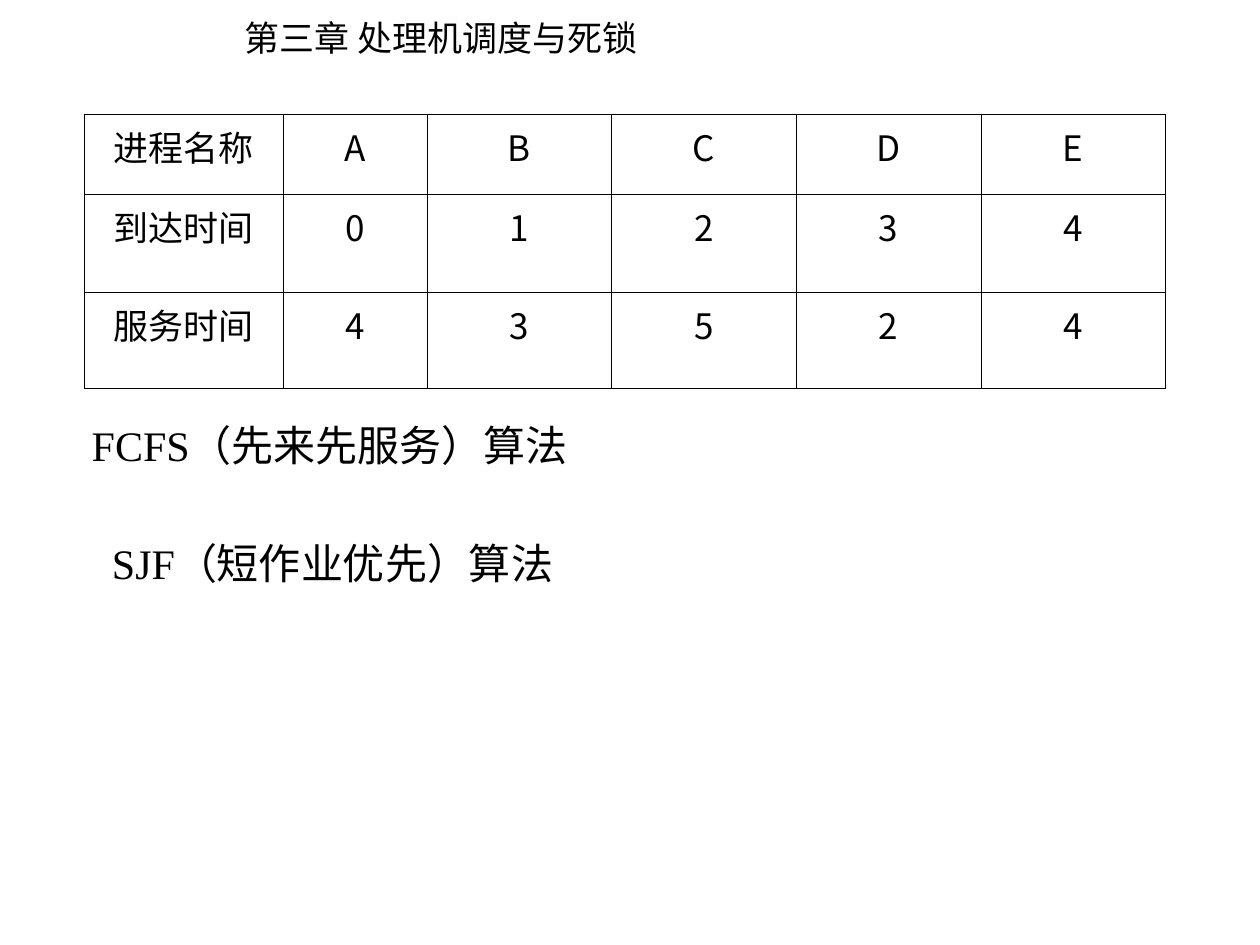
import pptx
import pptx.dml.color
import pptx.enum.text
import pptx.oxml
import pptx.oxml.ns
import pptx.util
from pptx.util import Inches

CJK = "Noto Sans CJK SC"
LATIN = "Times New Roman"
BLACK = "000000"


def color(value):
    return pptx.dml.color.RGBColor.from_string(value)


class SlideBuilder:
    def __init__(self, prs):
        self.slide = prs.slides.add_slide(prs.slide_layouts[5])

    def format_paragraph(self, p, size, latin, align):
        p.alignment = align
        for r in p.runs:
            r.font.size = pptx.util.Pt(size)
            r.font.name = latin
            r.font.color.rgb = color(BLACK)
            ea = pptx.oxml.parse_xml(
                f'<a:ea {pptx.oxml.ns.nsdecls("a")} typeface="{CJK}"/>')
            r.font._element.find(pptx.oxml.ns.qn("a:latin")).addnext(ea)

    def fill_box(self, sp, text, size, latin, anchor):
        tf = sp.text_frame
        tf.text = text
        tf.word_wrap = False
        tf.auto_size = pptx.enum.text.MSO_AUTO_SIZE.SHAPE_TO_FIT_TEXT
        tf.vertical_anchor = anchor
        self.format_paragraph(tf.paragraphs[0], size, latin,
                              pptx.enum.text.PP_ALIGN.LEFT)

    def title(self, text, left, top, width, height):
        sp = self.slide.shapes.title
        sp.left, sp.top = Inches(left), Inches(top)
        sp.width, sp.height = Inches(width), Inches(height)
        self.fill_box(sp, text, 20, CJK, pptx.enum.text.MSO_ANCHOR.TOP)

    def label(self, text, left, top, width, height):
        sp = self.slide.shapes.add_textbox(
            Inches(left), Inches(top), Inches(width), Inches(height))
        self.fill_box(sp, text, 24, LATIN, pptx.enum.text.MSO_ANCHOR.MIDDLE)

    def cell_borders(self, cell, width):
        tc_pr = cell._tc.get_or_add_tcPr()
        for side in ("lnL", "lnR", "lnT", "lnB"):
            tc_pr.append(pptx.oxml.parse_xml(
                f'<a:{side} {pptx.oxml.ns.nsdecls("a")} w="{pptx.util.Pt(width)}">'
                f'<a:solidFill><a:srgbClr val="{BLACK}"/></a:solidFill>'
                f'</a:{side}>'))

    def table(self, rows, left, top, widths, heights):
        table = self.slide.shapes.add_table(
            len(rows), len(widths), Inches(left), Inches(top),
            Inches(sum(widths)), Inches(sum(heights))).table
        table.first_row = table.horz_banding = False
        for column, width in zip(table.columns, widths):
            column.width = Inches(width)
        for row, height, values in zip(table.rows, heights, rows):
            row.height = Inches(height)
            for cell, value in zip(row.cells, values):
                cell.text_frame.text = value
                self.format_paragraph(cell.text_frame.paragraphs[0], 20, CJK,
                                      pptx.enum.text.PP_ALIGN.CENTER)
                self.cell_borders(cell, 0.45)
                cell.fill.background()


def main():
    prs = pptx.Presentation()
    prs.slide_width, prs.slide_height = Inches(10), Inches(7.5)
    s = SlideBuilder(prs)

    # Chapter heading
    s.title("第三章 处理机调度与死锁", 1.84, 0.08, 3.38, 0.44)

    # Process arrival and service times
    s.table([["进程名称", *"ABCDE"],
             ["到达时间", *"01234"],
             ["服务时间", *"43524"]],
            0.67, 0.91, [1.58, 1.14] + [1.465] * 4, [0.63, 0.78, 0.76])

    # Scheduling algorithms
    s.label("FCFS（先来先服务）算法", 0.63, 3.28, 4.06, 0.5)
    s.label("SJF（短作业优先）算法", 0.79, 4.22, 3.78, 0.5)

    prs.save("out.pptx")


if __name__ == "__main__":
    main()
